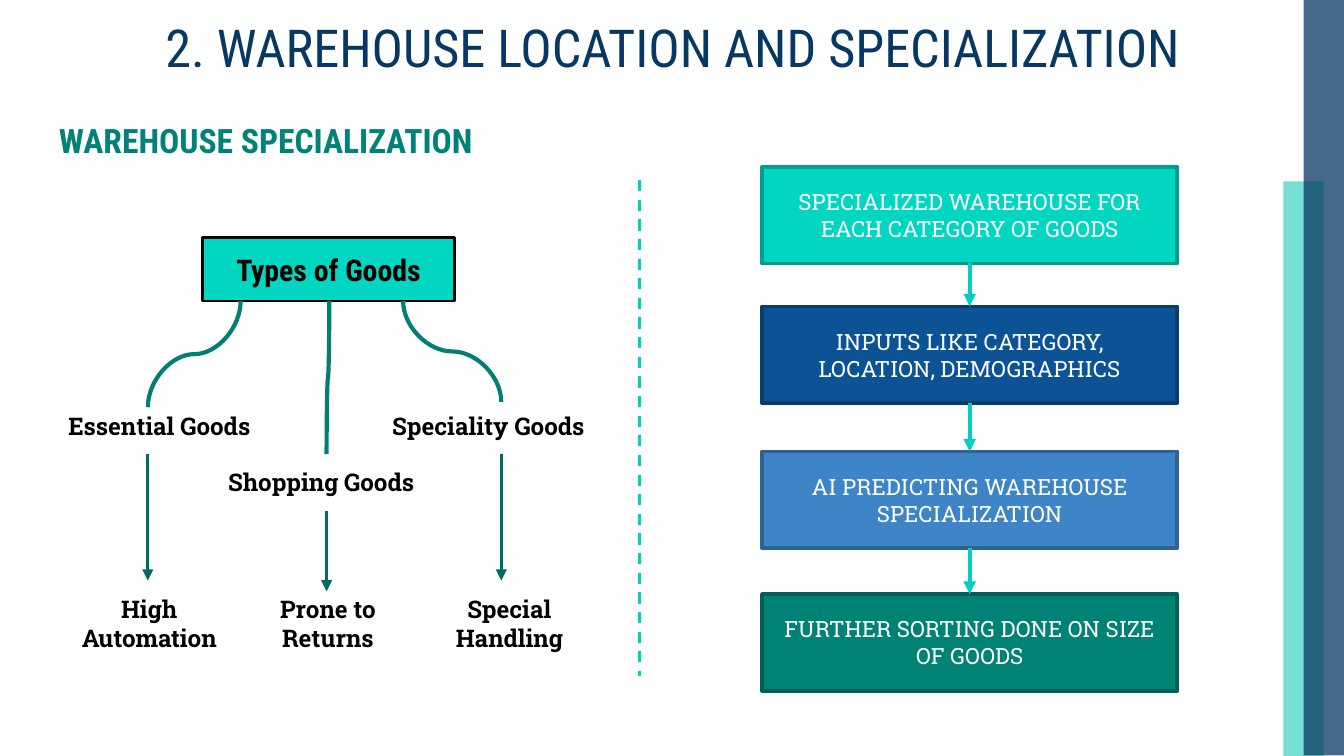
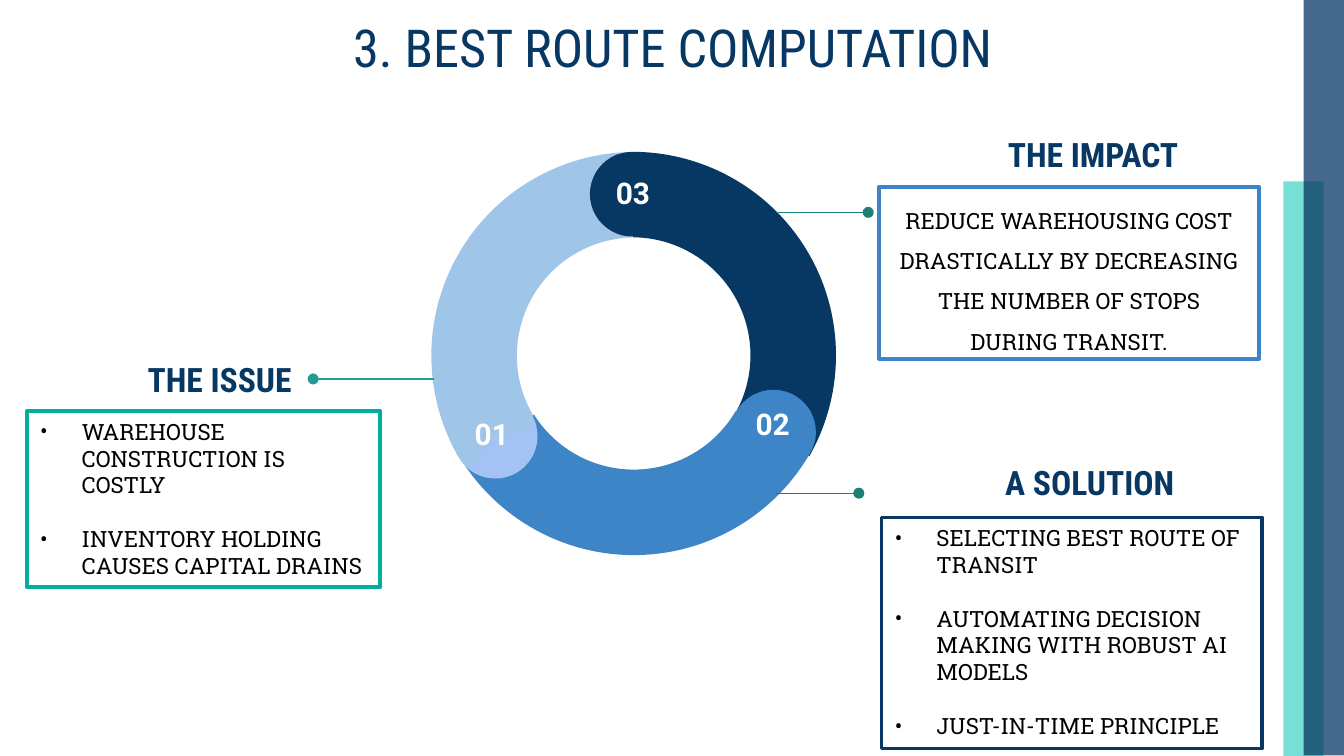
from lxml.etree import SubElement
from pptx import Presentation
from pptx.dml.color import RGBColor
from pptx.enum.dml import MSO_LINE
from pptx.enum.shapes import MSO_CONNECTOR, MSO_SHAPE
from pptx.enum.text import MSO_ANCHOR, PP_ALIGN
from pptx.oxml.ns import qn
from pptx.util import Inches, Pt

NAVY = "073763"
BLUE = "3D85C6"
PALE_BLUE = "9FC5E8"
TEAL = "00D6C0"
ARROW_TEAL = "00D1BC"
CURVE_GREEN = "007F72"
ARROW_GREEN = "006B60"
LEADER_GREEN = "1D7E74"
BLACK = "000000"
WHITE = "FFFFFF"
HEADING_FONT = "Roboto Condensed"
BODY_FONT = "Roboto Slab"
NUMBER_FONT = "Roboto"


def color(value):
    return RGBColor.from_string(value)


def write_text(shape, text, size=12, font=BODY_FONT, fill=BLACK, bold=False,
               align=PP_ALIGN.LEFT, anchor=MSO_ANCHOR.TOP, inset=0.05,
               line_spacing=None, gap=0, bullet=False):
    frame = shape.text_frame
    frame.word_wrap = True
    frame.vertical_anchor = anchor
    frame.margin_left = frame.margin_right = Inches(0.1)
    frame.margin_top = frame.margin_bottom = Inches(inset)
    lines = text.split("\n")
    for index, line in enumerate(lines):
        paragraph = frame.add_paragraph() if index else frame.paragraphs[0]
        paragraph.alignment = align
        if line_spacing:
            paragraph.line_spacing = line_spacing
        if gap and index < len(lines) - 1:
            paragraph.space_after = Pt(gap)
        run = paragraph.add_run()
        run.text = line
        run.font.size = Pt(size)
        run.font.name = font
        run.font.bold = bold
        run.font.color.rgb = color(fill)
        if bullet:
            add_bullet(paragraph)


def add_bullet(paragraph):
    properties = paragraph._p.get_or_add_pPr()
    properties.set("marL", str(Inches(0.31)))
    properties.set("indent", str(Inches(-0.31)))
    bullet_color = SubElement(properties, qn("a:buClr"))
    SubElement(bullet_color, qn("a:srgbClr")).set("val", BLACK)
    SubElement(properties, qn("a:buFont")).set("typeface", BODY_FONT)
    SubElement(properties, qn("a:buChar")).set("char", "•")


def add_text(slide, box, text, **style):
    shape = slide.shapes.add_textbox(*map(Inches, box))
    write_text(shape, text, **style)
    return shape


def add_block(slide, box, fill, kind=MSO_SHAPE.RECTANGLE, outline=None,
              weight=2, alpha=None, turn=0, adjustments=()):
    shape = slide.shapes.add_shape(kind, *map(Inches, box))
    shape.shadow.inherit = False
    shape.fill.solid()
    shape.fill.fore_color.rgb = color(fill)
    if alpha:
        fill_color = shape._element.spPr.find(qn("a:solidFill"))[0]
        SubElement(fill_color, qn("a:alpha")).set("val", str(alpha * 1000))
    if outline:
        shape.line.color.rgb = color(outline)
        shape.line.width = Pt(weight)
    else:
        shape.line.fill.background()
    shape.rotation = turn
    for index, value in enumerate(adjustments):
        shape.adjustments[index] = value
    return shape


def add_line(slide, start, end, stroke, weight, tail=None, dash=None,
             kind=MSO_CONNECTOR.STRAIGHT):
    connector = slide.shapes.add_connector(kind, *map(Inches, (*start, *end)))
    connector.line.color.rgb = color(stroke)
    connector.line.width = Pt(weight)
    if dash:
        connector.line.dash_style = dash
    if tail:
        outline = connector._element.spPr.find(qn("a:ln"))
        SubElement(outline, qn("a:tailEnd")).set("type", tail)
    SubElement(connector._element.spPr, qn("a:effectLst"))
    return connector


def add_falling_curve(slide, start, end):
    center_x = (start[0] + end[0]) / 2
    center_y = (start[1] + end[1]) / 2
    half_height = (end[1] - start[1]) / 2
    half_width = abs(end[0] - start[0]) / 2
    rightward = end[0] > start[0]
    reach = -half_height if rightward else half_height
    curve = add_line(slide, (center_x - reach, center_y - half_width),
                     (center_x + reach, center_y + half_width),
                     CURVE_GREEN, 2.25, kind=MSO_CONNECTOR.CURVE)
    frame = curve._element.spPr.find(qn("a:xfrm"))
    frame.set("rot", str((270 if rightward else 90) * 60000))


def add_base_slide(presentation, title):
    slide = presentation.slides.add_slide(presentation.slide_layouts[6])
    add_block(slide, (9.55, 1.35, 0.3, 4.28), "00C3B1", alpha=53)
    add_block(slide, (9.7, 0, 0.3, 5.62), NAVY, alpha=75)
    add_text(slide, (0.79, 0.13, 8.43, 0.44), title, size=28, font=HEADING_FONT,
             fill=NAVY, align=PP_ALIGN.CENTER, anchor=MSO_ANCHOR.MIDDLE, inset=0.1)
    return slide


def add_heading(slide, box, text, fill=NAVY):
    add_text(slide, box, text, size=18, font=HEADING_FONT, fill=fill, bold=True)


def add_goods_tree(slide, left, top):
    root = add_block(slide, (left + 1.23, top, 1.87, 0.47), TEAL,
                     outline=BLACK, weight=1.5)
    write_text(root, "Types of Goods", size=16, font=HEADING_FONT, bold=True,
               align=PP_ALIGN.CENTER, inset=0.1)
    label_style = {"size": 13, "bold": True, "inset": 0.1}
    branches = [
        ("Essential Goods", "High Automation", (1.51, 0.82), 1.26, 0.13, 1.19, 2.55, 0, 1.66),
        ("Speciality Goods", "Special\nHandling", (2.72, 3.45), 1.22, 2.54, 1.19, 2.55, 2.68, 1.82),
        ("Shopping Goods", "Prone to\nReturns", (2.17, 2.15), 1.61, 1.32, 1.61, 2.63, 1.33, 1.66),
    ]
    for goods, trait, (start, end), curve_end, goods_left, goods_top, arrow_end, trait_left, width in branches:
        add_falling_curve(slide, (left + start, top + 0.47), (left + end, top + curve_end))
        add_text(slide, (left + goods_left, top + goods_top, width, 0.42), goods, **label_style)
        add_text(slide, (left + trait_left, top + 2.55, 1.66, 0.64), trait,
                 align=PP_ALIGN.CENTER, **label_style)
        add_line(slide, (left + end, top + goods_top + 0.42), (left + end, top + arrow_end),
                 ARROW_GREEN, 1.5, tail="triangle")


def add_flow(slide, left, top):
    width, height = 3.09, 0.72
    steps = [
        ("SPECIALIZED WAREHOUSE FOR EACH CATEGORY OF GOODS", 0, TEAL, "009E8E"),
        ("INPUTS LIKE CATEGORY, LOCATION, DEMOGRAPHICS", 1.04, "0B5394", "083D6D"),
        ("AI PREDICTING WAREHOUSE SPECIALIZATION", 2.12, BLUE, "2D6292"),
        ("FURTHER SORTING DONE ON SIZE OF GOODS", 3.18, "008275", "006057"),
    ]
    previous = None
    for text, offset, fill, outline in steps:
        step = add_block(slide, (left, top + offset, width, height), fill, outline=outline)
        write_text(step, text, fill=WHITE, align=PP_ALIGN.CENTER, anchor=MSO_ANCHOR.MIDDLE)
        if previous:
            arrow = add_line(slide, (left, top), (left, top + offset),
                             ARROW_TEAL, 2.25, tail="triangle")
            arrow.begin_connect(previous, 2)
            arrow.end_connect(step, 0)
        previous = step


def add_route_ring(slide, left, top):
    segments = [
        ("03", 0, (0, 0.03), (197.82, 0.21), NAVY, NAVY, (1.2, 0.03), (1.24, 0.1)),
        ("02", 120, (0.01, 0), (196.63, 0.21), BLUE, BLUE, (2.25, 1.8), (2.28, 1.82)),
        ("01", 240, (0.02, 0.03), (197.03, 0.21), PALE_BLUE, "A4C2F4", (0.18, 1.83), (0.19, 1.89)),
    ]
    for _, turn, (x, y), (sweep, thickness), fill, *_ in segments:
        add_block(slide, (left + x, top + y, 3.03, 3.03), fill, MSO_SHAPE.BLOCK_ARC,
                  turn=turn + 60, adjustments=(126.23, sweep, thickness))
    for number, turn, _, _, fill, cap_fill, (cap_x, cap_y), (x, y) in segments:
        cap = (left + cap_x, top + cap_y, 0.63, 0.63)
        add_block(slide, cap, cap_fill, MSO_SHAPE.PIE, turn=turn + 0.7,
                  adjustments=(61.9, 149.96))
        add_block(slide, cap, fill, MSO_SHAPE.PIE, turn=(turn + 180) % 360,
                  adjustments=(40.28, 171.84))
        add_text(slide, (left + x, top + y, 0.56, 0.29), number, size=16,
                 font=NUMBER_FONT, fill=WHITE, bold=True, align=PP_ALIGN.CENTER, inset=0.1)


def add_panel(slide, box, heading, heading_offset, heading_width, text, outline, **style):
    left, top = box[:2]
    x, y = heading_offset
    add_heading(slide, (left + x, top + y, heading_width, 0.4), heading)
    panel = add_block(slide, box, WHITE, outline=outline)
    write_text(panel, text, **style)


def build_specialization_slide(presentation):
    slide = add_base_slide(presentation, "2. WAREHOUSE LOCATION AND SPECIALIZATION")
    add_heading(slide, (0.34, 0.84, 3.81, 0.4), "WAREHOUSE SPECIALIZATION", fill="008276")
    add_goods_tree(slide, 0.28, 1.77)
    add_flow(slide, 5.67, 1.24)
    add_line(slide, (4.76, 1.34), (4.76, 5.03), ARROW_TEAL, 1.5, dash=MSO_LINE.DASH)


def build_route_slide(presentation):
    slide = add_base_slide(presentation, "3. BEST ROUTE COMPUTATION")
    add_route_ring(slide, 3.19, 1.1)
    for start, end, y, stroke in [(3.23, 2.33, 2.82, "249C90"),
                                  (5.77, 6.39, 3.67, LEADER_GREEN),
                                  (5.79, 6.46, 1.58, LEADER_GREEN)]:
        add_line(slide, (start, y), (end, y), stroke, 0.75, tail="oval")
    list_style = {"bullet": True, "gap": 14.4}
    add_panel(slide, (6.56, 3.85, 2.83, 1.72), "A SOLUTION", (0.82, -0.46), 1.55,
              "SELECTING BEST ROUTE OF TRANSIT\n"
              "AUTOMATING DECISION MAKING WITH ROBUST AI MODELS\n"
              "JUST-IN-TIME PRINCIPLE", NAVY, **list_style)
    add_panel(slide, (0.2, 3.06, 2.63, 1.31), "THE ISSUE", (0.8, -0.44), 1.33,
              "WAREHOUSE CONSTRUCTION IS COSTLY\n"
              "INVENTORY HOLDING CAUSES CAPITAL DRAINS", "00AE9D", **list_style)
    add_panel(slide, (6.54, 1.39, 2.83, 1.28), "THE IMPACT", (0.86, -0.44), 1.55,
              "REDUCE WAREHOUSING COST DRASTICALLY BY DECREASING "
              "THE NUMBER OF STOPS DURING TRANSIT.", BLUE,
              align=PP_ALIGN.CENTER, line_spacing=1.5)


def main():
    presentation = Presentation()
    presentation.slide_width = Inches(10)
    presentation.slide_height = presentation.slide_width * 9 // 16
    build_specialization_slide(presentation)
    build_route_slide(presentation)
    presentation.save("out.pptx")


if __name__ == "__main__":
    main()
